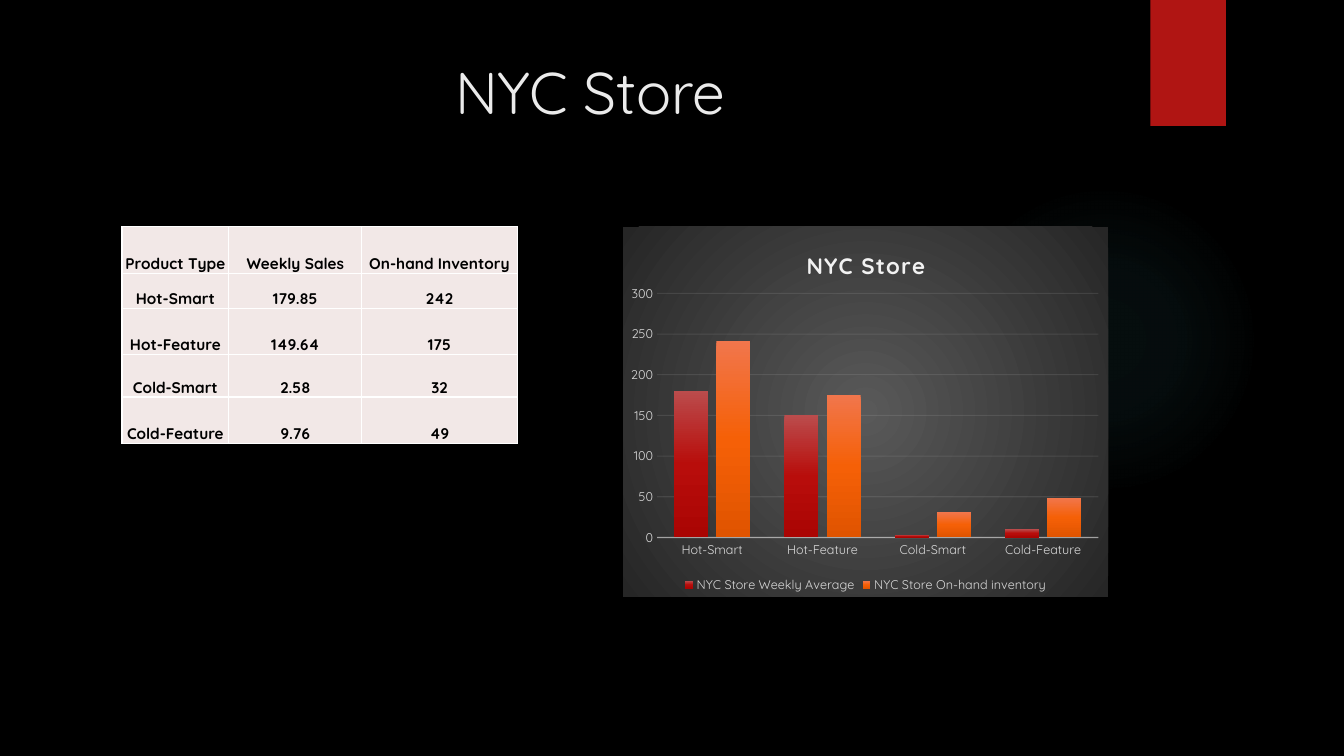
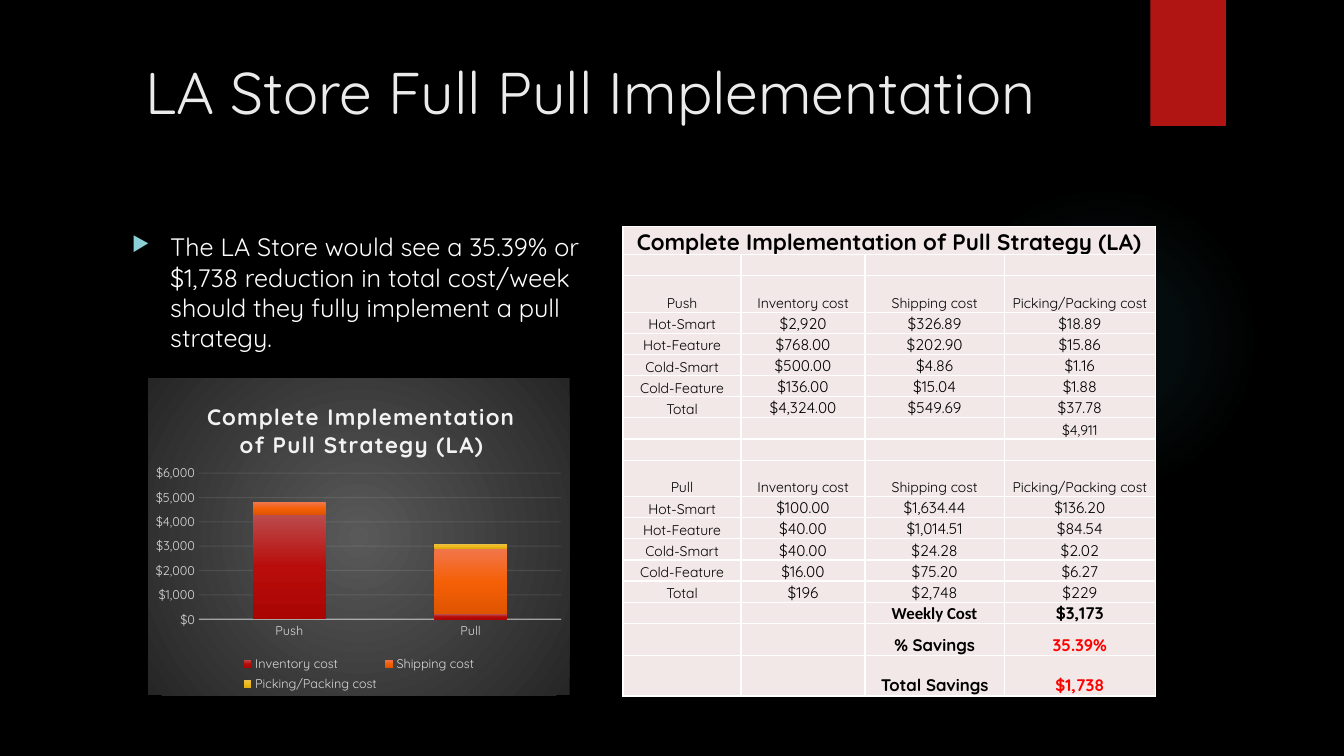
"""Store inventory slides: a sales table and chart, then a pull strategy comparison."""
from lxml import etree
from pptx import Presentation
from pptx import util as u
from pptx.chart.data import CategoryChartData
from pptx.dml.color import RGBColor
from pptx.enum import chart as ch, shapes, text
from pptx.oxml import parse_xml
from pptx.oxml.ns import nsdecls, qn

COLORS = {
    "back": "000000", "title": "EBEBEB", "body": "FFFFFF", "ink": "000000",
    "accent": "B01513", "glow": "50B9C1", "bullet": "8AD0D6", "cell": "F2E8E7",
    "border": "FFFFFF", "saving": "FF0000", "axis": "F2F2F2", "label": "D9D9D9",
}
GLOW = [(0, COLORS["glow"], 7), (36, COLORS["glow"], 6), (69, COLORS["glow"], 0)]
PANEL = [(0, "595959", 100), (100, "262626", 100)]
SERIES = [
    [(0, "BB4C4C", 100), (50, "B80D0B", 100), (100, "AA0503", 100)],
    [(0, "F1764C", 100), (50, "F56007", 100), (100, "E05400", 100)],
    [(0, "EBBF53", 100), (50, "EFBC20", 100), (100, "DFAC11", 100)],
]
FONT = "Quicksand"


def rgb(name):
    return RGBColor.from_string(COLORS[name])


def set_all(obj, values):
    for key, value in values.items():
        setattr(obj, key, value)


def set_font(font, size, color, bold=False, name=FONT):
    set_all(font, {"size": u.Pt(size), "bold": bold, "name": name})
    font.color.rgb = rgb(color)


def add_gradient(parent, stops, radial=False):
    gs = "".join(
        f'<a:gs pos="{pos * 1000}"><a:srgbClr val="{color}"><a:alpha val="{alpha * 1000}"/>'
        "</a:srgbClr></a:gs>" for pos, color, alpha in stops)
    shade = ('<a:path path="circle"><a:fillToRect l="50000" t="50000" r="50000" b="50000"/></a:path>'
             if radial else '<a:lin ang="5400000" scaled="0"/>')
    parent.append(parse_xml(
        f'<a:gradFill {nsdecls("a")} rotWithShape="1"><a:gsLst>{gs}</a:gsLst>{shade}</a:gradFill>'))


def set_line(line, width, alpha):
    line.width = u.Pt(width)
    line.color.rgb = rgb("axis")
    clr = line.fill._xPr.find(".//" + qn("a:srgbClr"))
    etree.SubElement(clr, qn("a:alpha")).set("val", str(alpha * 1000))


def manual_layout(box, inner=False):
    target = '<c:layoutTarget val="inner"/>' if inner else ""
    modes = "".join(f'<c:{k}Mode val="edge"/>' for k in "xy")
    values = "".join(f'<c:{k} val="{v}"/>' for k, v in zip("xywh", box))
    return parse_xml(f'<c:layout {nsdecls("c")}><c:manualLayout>{target}{modes}{values}'
                     "</c:manualLayout></c:layout>")


class Deck:
    def __init__(self):
        self.prs = Presentation()
        set_all(self.prs, {"slide_width": u.Inches(13.33), "slide_height": u.Inches(7.5)})
        self.s = None

    def slide(self, title):
        self.s = self.prs.slides.add_slide(self.prs.slide_layouts[6])
        fill = self.s.background.fill
        fill.solid()
        fill.fore_color.rgb = rgb("back")
        glow = self.shape(shapes.MSO_SHAPE.OVAL, 9.41, 1.83, 3.08, 3.08)
        add_gradient(glow._element.spPr, GLOW, radial=True)
        band = self.shape(shapes.MSO_SHAPE.RECTANGLE, 11.41, 0, 0.75, 1.25)
        band.fill.solid()
        band.fill.fore_color.rgb = rgb("accent")
        for sp in (glow, band):
            sp.line.fill.background()
            sp.shadow.inherit = False
        p = self.text(title, 42, "title", 0.71, 0.5, 10.29, 1.19)
        p.alignment = text.PP_ALIGN.CENTER

    def shape(self, kind, *box):
        return self.s.shapes.add_shape(kind, *map(u.Inches, box))

    def text(self, words, size, color, *box):
        tf = self.s.shapes.add_textbox(*map(u.Inches, box)).text_frame
        tf.word_wrap = True
        p = tf.paragraphs[0]
        r = p.add_run()
        r.text = words
        set_font(r.font, size, color)
        return p

    def bullet(self, words, *box):
        p = self.text(words, 18, "body", *box)
        p.space_before = u.Pt(10)
        ppr = p._p.get_or_add_pPr()
        ppr.set("marL", str(u.Inches(0.38)))
        ppr.set("indent", str(u.Inches(-0.38)))
        clr = etree.SubElement(ppr, qn("a:buClr"))
        etree.SubElement(clr, qn("a:srgbClr")).set("val", COLORS["bullet"])
        etree.SubElement(ppr, qn("a:buSzPct")).set("val", "80000")
        etree.SubElement(ppr, qn("a:buChar")).set("char", "▶")

    def table(self, rows, heights, widths, left, top, style):
        box = map(u.Inches, (left, top, sum(widths), sum(heights)))
        tbl = self.s.shapes.add_table(len(rows), len(widths), *box).table
        set_all(tbl, {"first_row": False, "horz_banding": False})
        for col, width in zip(tbl.columns, widths):
            col.width = u.Inches(width)
        for i, (row, height) in enumerate(zip(rows, heights)):
            tbl.rows[i].height = u.Inches(height)
            for j in range(len(widths)):
                words = row[j] if j < len(row) else ""
                self.cell(tbl.cell(i, j), words, style(i, j))
            if len(row) == 1:
                tbl.cell(i, 0).merge(tbl.cell(i, len(widths) - 1))

    def cell(self, cell, words, style):
        tiny = u.Inches(0.01)
        set_all(cell, {"margin_left": tiny, "margin_right": tiny, "margin_top": tiny,
                       "margin_bottom": 0, "vertical_anchor": text.MSO_ANCHOR.BOTTOM})
        tcpr = cell._tc.get_or_add_tcPr()
        for side in "LRTB":
            tcpr.append(parse_xml(
                f'<a:ln{side} {nsdecls("a")} w="12700"><a:solidFill>'
                f'<a:srgbClr val="{COLORS["border"]}"/></a:solidFill></a:ln{side}>'))
        cell.fill.solid()
        cell.fill.fore_color.rgb = rgb("cell")
        p = cell.text_frame.paragraphs[0]
        p.alignment = text.PP_ALIGN.CENTER
        if words:
            r = p.add_run()
            r.text = words
            set_font(r.font, **style)
        else:
            p._p.get_or_add_endParaRPr().set("sz", "1000")

    def chart(self, kind, title, cats, series, box, plot_box, title_at, top_value, step,
              gap, overlap, fmt="General"):
        data = CategoryChartData()
        data.categories = cats
        for name, values in series:
            data.add_series(name, values)
        chart = self.s.shapes.add_chart(kind, *map(u.Inches, box), data).chart
        set_font(chart.font, 10, "body")
        panel = parse_xml(f'<c:spPr {nsdecls("c", "a")}/>')
        add_gradient(panel, PANEL, radial=True)
        etree.SubElement(etree.SubElement(panel, qn("a:ln")), qn("a:noFill"))
        chart._chartSpace.chart.addnext(panel)

        tf = chart.chart_title.text_frame
        r = tf.paragraphs[0].add_run()
        r.text = title
        set_font(r.font, 16, "axis", bold=True)
        r.font._element.set("spc", "100")
        title_el = chart.chart_title._element
        for old in title_el.findall(qn("c:layout")):
            title_el.remove(old)
        title_el.find(qn("c:tx")).addnext(manual_layout(title_at))

        plot = chart.plots[0]
        set_all(plot, {"gap_width": gap, "overlap": overlap, "vary_by_categories": False})
        for ser, stops in zip(plot.series, SERIES):
            add_gradient(ser._element.get_or_add_spPr(), stops)
        area = chart._chartSpace.chart.plotArea
        for old in area.findall(qn("c:layout")):
            area.remove(old)
        area.insert(0, manual_layout(plot_box, inner=True))

        cat, val = chart.category_axis, chart.value_axis
        for axis in (cat, val):
            set_all(axis, {"major_tick_mark": ch.XL_TICK_MARK.NONE,
                           "minor_tick_mark": ch.XL_TICK_MARK.NONE})
            set_font(axis.tick_labels.font, 9, "label")
        set_line(cat.format.line, 1, 54)
        set_all(val, {"minimum_scale": 0, "maximum_scale": top_value, "major_unit": step,
                      "has_major_gridlines": True})
        val.format.line.fill.background()
        set_line(val.major_gridlines.format.line, 0.75, 10)
        set_all(val.tick_labels, {"number_format": fmt, "number_format_is_linked": False})
        chart.has_legend = True
        set_all(chart.legend, {"position": ch.XL_LEGEND_POSITION.BOTTOM,
                               "include_in_layout": False})
        set_font(chart.legend.font, 9, "label")


def sales_style(i, j):
    return {"size": 11, "color": "ink", "bold": True}


def cost_style(i, j):
    if i == 0:
        return {"size": 16, "color": "ink", "bold": True}
    if i >= 16:
        return {"size": 12, "bold": True, "color": "saving" if i > 16 and j == 3 else "ink",
                "name": "Calibri" if (i, j) == (16, 2) else FONT}
    return {"size": 10 if j == 0 or i in (2, 8, 10) else 11, "color": "ink"}


def main():
    deck = Deck()
    products = ["Hot-Smart", "Hot-Feature", "Cold-Smart", "Cold-Feature"]
    costs = ["Inventory cost", "Shipping cost", "Picking/Packing cost"]
    strategy = "Complete Implementation of Pull Strategy (LA)"

    deck.slide("NYC Store")
    sales = [("179.85", "242"), ("149.64", "175"), ("2.58", "32"), ("9.76", "49")]
    rows = [("Product Type", "Weekly Sales", "On-hand Inventory")]
    rows += [(name, *values) for name, values in zip(products, sales)]
    deck.table(rows, [0.46, 0.35, 0.46, 0.42, 0.46], [1.06, 1.32, 1.54], 1.21, 2.25, sales_style)
    deck.chart(
        ch.XL_CHART_TYPE.COLUMN_CLUSTERED, "NYC Store", products,
        [("NYC Store Weekly Average", (180, 150, 3, 10)),
         ("NYC Store On-hand inventory", (242, 175, 31, 49))],
        (6.18, 2.25, 4.81, 3.67), (0.07, 0.18, 0.91, 0.66), (0.37, 0.05), 300, 50, 100, -24)

    deck.slide("LA Store Full Pull Implementation")
    deck.bullet("The LA Store would see a 35.39% or $1,738 reduction in total cost/week "
                "should they fully implement a pull strategy.", 1.21, 2.25, 4.81, 1.73)
    names = products + ["Total"]
    push = [("$2,920", "$326.89", "$18.89"), ("$768.00", "$202.90", "$15.86"),
            ("$500.00", "$4.86", "$1.16"), ("$136.00", "$15.04", "$1.88"),
            ("$4,324.00", "$549.69", "$37.78")]
    pull = [("$100.00", "$1,634.44", "$136.20"), ("$40.00", "$1,014.51", "$84.54"),
            ("$40.00", "$24.28", "$2.02"), ("$16.00", "$75.20", "$6.27"),
            ("$196", "$2,748", "$229")]
    rows = [(strategy,), (), ("Push", *costs)]
    rows += [(name, *values) for name, values in zip(names, push)]
    rows += [("", "", "", "$4,911"), (), ("Pull", *costs)]
    rows += [(name, *values) for name, values in zip(names, pull)]
    rows += [("", "", "Weekly Cost", "$3,173"), ("", "", "% Savings", "35.39%"),
             ("", "", "Total Savings", "$1,738")]
    heights = [0.21] * len(rows)
    heights[2] = heights[10] = 0.36
    heights[17:] = [0.32, 0.4]
    deck.table(rows, heights, [1.17, 1.23, 1.38, 1.5], 6.18, 2.25, cost_style)
    deck.chart(
        ch.XL_CHART_TYPE.COLUMN_STACKED, strategy, ["Push", "Pull"],
        list(zip(costs, [(4300, 200), (500, 2700), (0, 200)])),
        (1.47, 3.75, 4.18, 3.15), (0.12, 0.3, 0.86, 0.46), (0.13, 0.06), 6000, 1000, 150, 100,
        '"$"#,##0')
    deck.prs.save("out.pptx")


if __name__ == "__main__":
    main()
